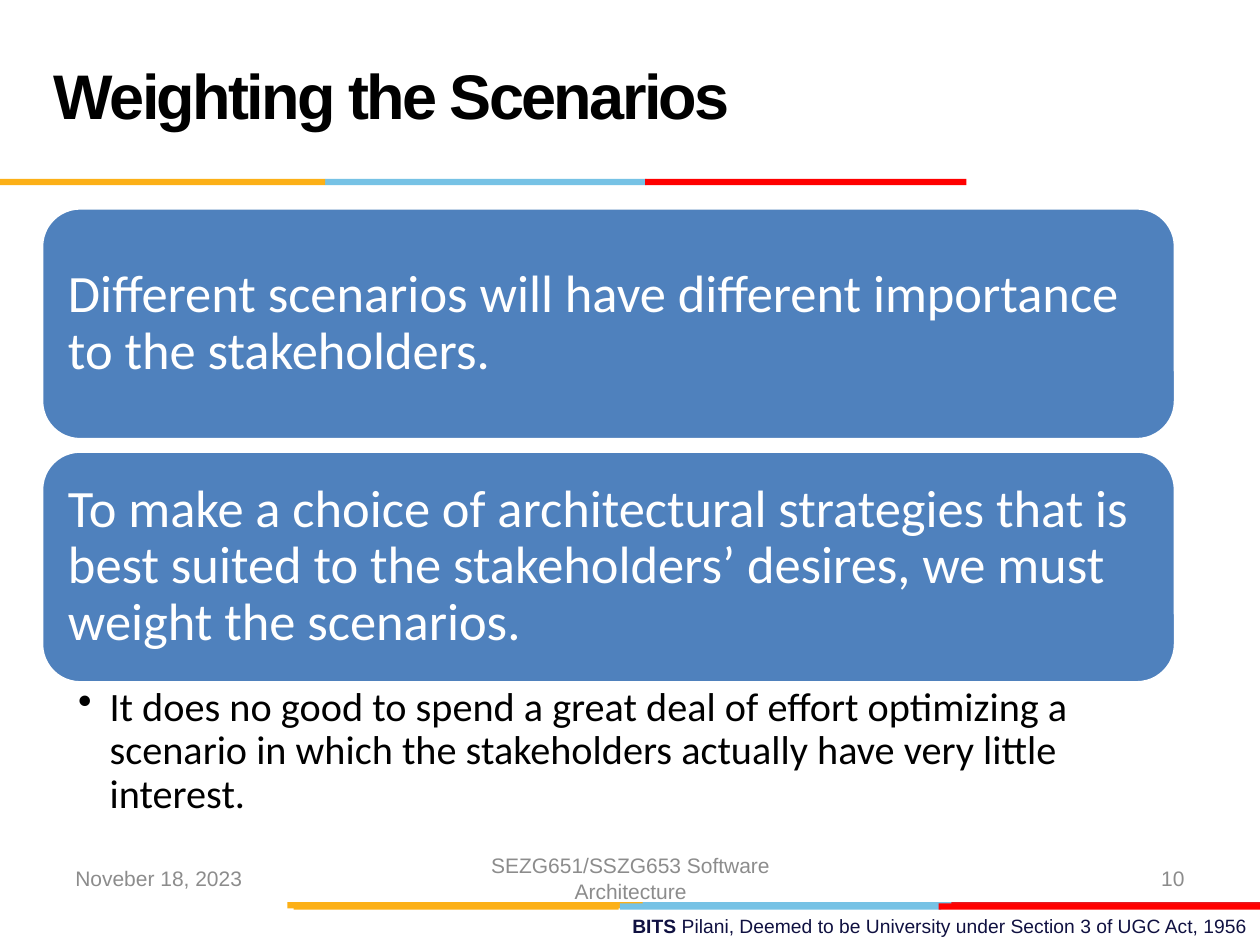
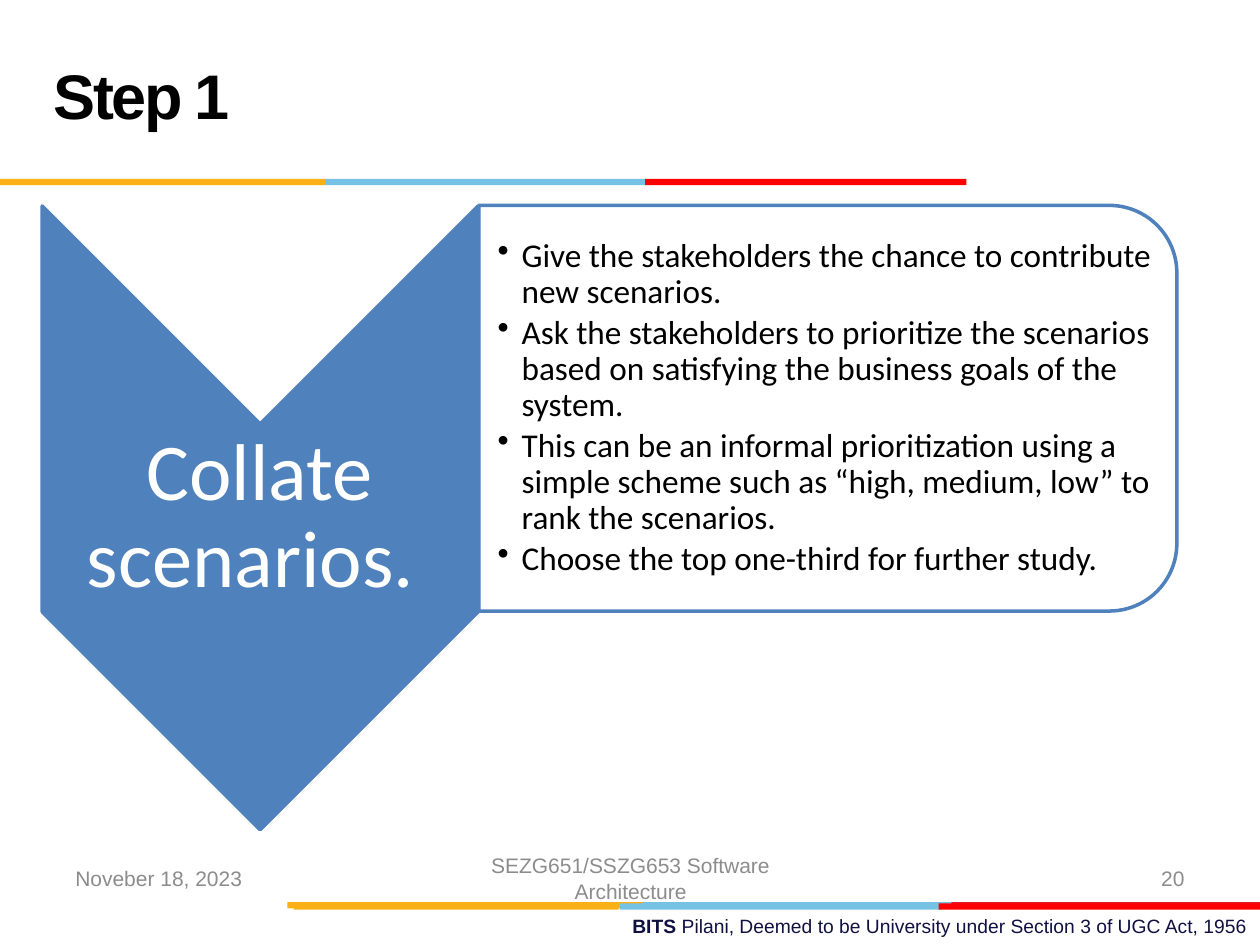
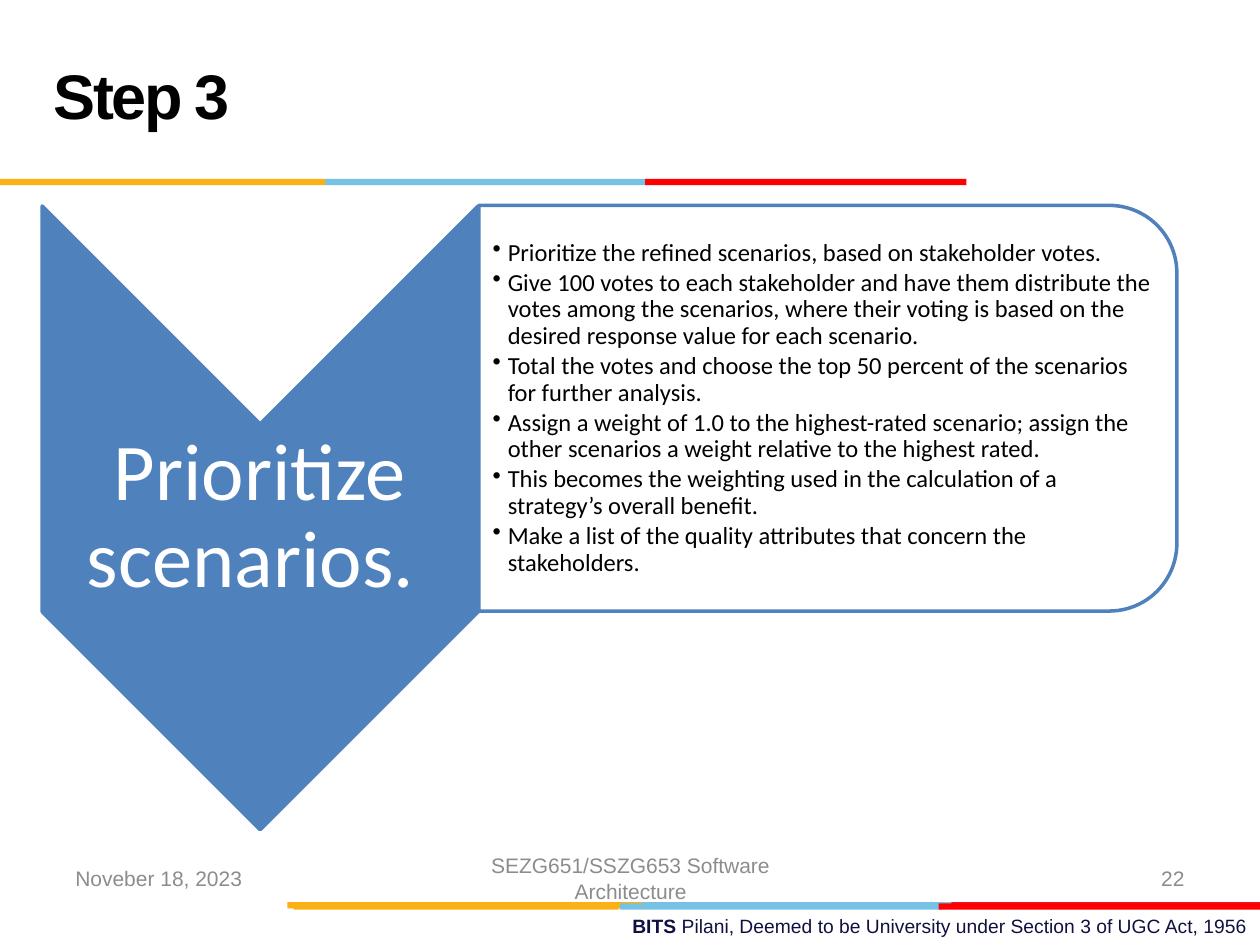
from lxml import etree
from pptx import Presentation
from pptx.dml.color import RGBColor
from pptx.enum.shapes import MSO_SHAPE
from pptx.enum.text import MSO_ANCHOR, PP_ALIGN
from pptx.oxml.ns import qn
from pptx.util import Inches, Pt

LEFT, CENTER, RIGHT = PP_ALIGN.LEFT, PP_ALIGN.CENTER, PP_ALIGN.RIGHT
TOP, MIDDLE = MSO_ANCHOR.TOP, MSO_ANCHOR.MIDDLE
RECT, ROUNDED = MSO_SHAPE.RECTANGLE, MSO_SHAPE.ROUNDED_RECTANGLE
CHEVRON, ROUND_TOP = MSO_SHAPE.CHEVRON, MSO_SHAPE.ROUND_2_SAME_RECTANGLE

COLORS = {
    "yellow": "FCB017", "sky": "76C2E5", "red": "FF0000", "crimson": "E31C24",
    "blue": "4F81BD", "white": "FFFFFF", "black": "000000",
    "grey": "8C8C8C", "navy": "101141",
}

TITLE = {"name": "Arial", "size": Pt(36), "bold": True}
FOOTER = {"name": "Arial", "size": Pt(12)}
CREDIT = {"name": "Arial", "size": Pt(11)}

# left, top, width, colour
BANDS = [
    (5.06, 7.16, 2.55, "sky"), (7.55, 7.16, 2.45, "crimson"), (2.28, 7.16, 2.82, "yellow"),
    (4.92, 7.17, 2.55, "sky"), (2.33, 7.17, 2.58, "yellow"), (7.45, 7.17, 2.55, "red"),
    (2.58, 1.42, 2.55, "sky"), (0, 1.42, 2.58, "yellow"), (5.12, 1.42, 2.55, "red"),
]

STATEMENTS = [
    "Different scenarios will have different importance to the stakeholders.",
    "To make a choice of architectural strategies that is best suited to the "
    "stakeholders’ desires, we must weight the scenarios.",
]
CONSEQUENCE = ("It does no good to spend a great deal of effort optimizing a scenario in "
               "which the stakeholders actually have very little interest.")

SLIDES = [
    {"title": "Weighting the Scenarios", "number": "10"},
    {"title": "Step 1", "number": "20", "step": "Collate scenarios. ",
     "size": 19, "indent": 0.19, "inset": 0.15, "points": [
         "Give the stakeholders the chance to contribute new scenarios.",
         "Ask the stakeholders to prioritize the scenarios based on satisfying the "
         "business goals of the system.",
         "This can be an informal prioritization using a simple scheme such as “high, "
         "medium, low” to rank the scenarios.",
         "Choose the top one-third for further study.",
     ]},
    {"title": "Step 3", "number": "22", "step": "Prioritize scenarios. ",
     "size": 14, "indent": 0.12, "inset": 0.11, "points": [
         "Prioritize the refined scenarios, based on stakeholder votes.",
         "Give 100 votes to each stakeholder and have them distribute the votes among the "
         "scenarios, where their voting is based on the desired response value for each scenario.",
         "Total the votes and choose the top 50 percent of the scenarios for further analysis.",
         "Assign a weight of 1.0 to the highest-rated scenario; assign the other scenarios a "
         "weight relative to the highest rated.",
         "This becomes the weighting used in the calculation of a strategy’s overall benefit.",
         "Make a list of the quality attributes that concern the stakeholders.",
     ]},
]


def add_block(slide, kind, box, fill, line=None):
    block = slide.shapes.add_shape(kind, *map(Inches, box))
    block.shadow.inherit = False
    block.fill.solid()
    block.fill.fore_color.rgb = RGBColor.from_string(COLORS[fill])
    if line:
        block.line.color.rgb = RGBColor.from_string(COLORS[line])
        block.line.width = Pt(2)
    else:
        block.line.fill.background()
    return block


def write(holder, paragraphs, font, color, align=LEFT, anchor=MIDDLE,
          insets=(0.1, 0.05, 0.1, 0.05), spacing=None, after=0, bullet_indent=None):
    """Fill a shape or text box; after is the paragraph gap as a share of the font size."""
    frame = holder.text_frame
    frame.word_wrap = True
    frame.vertical_anchor = anchor
    for side, inset in zip(("left", "top", "right", "bottom"), insets):
        setattr(frame, f"margin_{side}", Inches(inset))
    for index, text in enumerate(paragraphs):
        paragraph = frame.add_paragraph() if index else frame.paragraphs[0]
        paragraph.alignment = align
        paragraph.line_spacing = spacing
        paragraph.space_after = Pt(round(after * font["size"].pt, 1))
        if bullet_indent:
            paragraph.level = 1
            properties = paragraph._p.get_or_add_pPr()
            properties.set("marL", str(Inches(bullet_indent)))
            properties.set("indent", str(-Inches(bullet_indent)))
            etree.SubElement(properties, qn("a:buChar"), char="•")
        run = paragraph.add_run()
        run.text = text
        for key, value in font.items():
            setattr(run.font, key, value)
        run.font.color.rgb = RGBColor.from_string(COLORS[color])
    return frame


prs = Presentation()
prs.slide_width, prs.slide_height = Inches(10), Inches(7.5)

for content in SLIDES:
    slide = prs.slides.add_slide(prs.slide_layouts[6])
    add_text = slide.shapes.add_textbox

    credit_box = add_text(*map(Inches, (3.58, 7.21, 6.42, 0.29)))
    credit = write(credit_box, ["BITS "], CREDIT | {"bold": True}, "navy", RIGHT, TOP)
    university = credit.paragraphs[0].add_run()
    university.text = "Pilani, Deemed to be University under Section 3 of UGC Act, 1956"
    for key, value in CREDIT.items():
        setattr(university.font, key, value)
    university.font.color.rgb = RGBColor.from_string(COLORS["navy"])

    for left, top, width, color in BANDS:
        add_block(slide, RECT, (left, top, width, 0.05), color)

    if "step" in content:
        add_block(slide, CHEVRON, (-0.41, 2.38, 4.95, 3.46), "blue", "blue").rotation = 90
        step = add_text(*map(Inches, (0.33, 3.37, 3.46, 1.48)))
        write(step, [content["step"]], {"name": "Calibri", "size": Pt(46)}, "white", CENTER,
              insets=(0.03,) * 4, spacing=0.9, after=0.35)

        panel = add_block(slide, ROUND_TOP, (4.96, 0.47, 3.22, 5.54), "white", "blue")
        panel.rotation = 90
        panel_color = panel.fill._xPr.find(qn("a:solidFill"))[0]
        etree.SubElement(panel_color, qn("a:alpha"), val="90000")
        points = add_text(*map(Inches, (3.8, 1.79, 5.38, 2.9)))
        write(points, content["points"], {"name": "Calibri", "size": Pt(content["size"])},
              "black", insets=(content["inset"], 0.01, 0.01, 0.01), spacing=0.9, after=0.15,
              bullet_indent=content["indent"])
    else:
        for row, statement in enumerate(STATEMENTS):
            card = add_block(slide, ROUNDED, (0.33, 1.65 + 1.93 * row, 9, 1.84), "blue", "white")
            write(card, [statement], {"name": "Calibri", "size": Pt(30)}, "white",
                  insets=(0.12,) * 4, spacing=0.9, after=0.35)
        consequence = add_text(*map(Inches, (0.33, 5.41, 9, 1.15)))
        write(consequence, [CONSEQUENCE], {"name": "Calibri", "size": Pt(23)}, "black",
              anchor=TOP, insets=(0.29, 0.04, 0.23, 0.04), spacing=0.9, after=0.2,
              bullet_indent=0.25)

    title = add_text(*map(Inches, (0.33, 0.17, 6.92, 1.25)))
    heading = write(title, [content["title"]], TITLE, "black", spacing=Pt(36))
    heading.paragraphs[0].runs[0].font._element.set("spc", "-150")

    for text, left, width, align in [
        ("Noveber 18, 2023", 0.5, 2.33, LEFT),
        ("SEZG651/SSZG653 Software Architecture", 3.42, 3.17, CENTER),
        (content["number"], 7.17, 2.33, RIGHT),
    ]:
        footer = add_text(*map(Inches, (left, 6.77, width, 0.4)))
        write(footer, [text], FOOTER, "grey", align)

prs.save("out.pptx")
